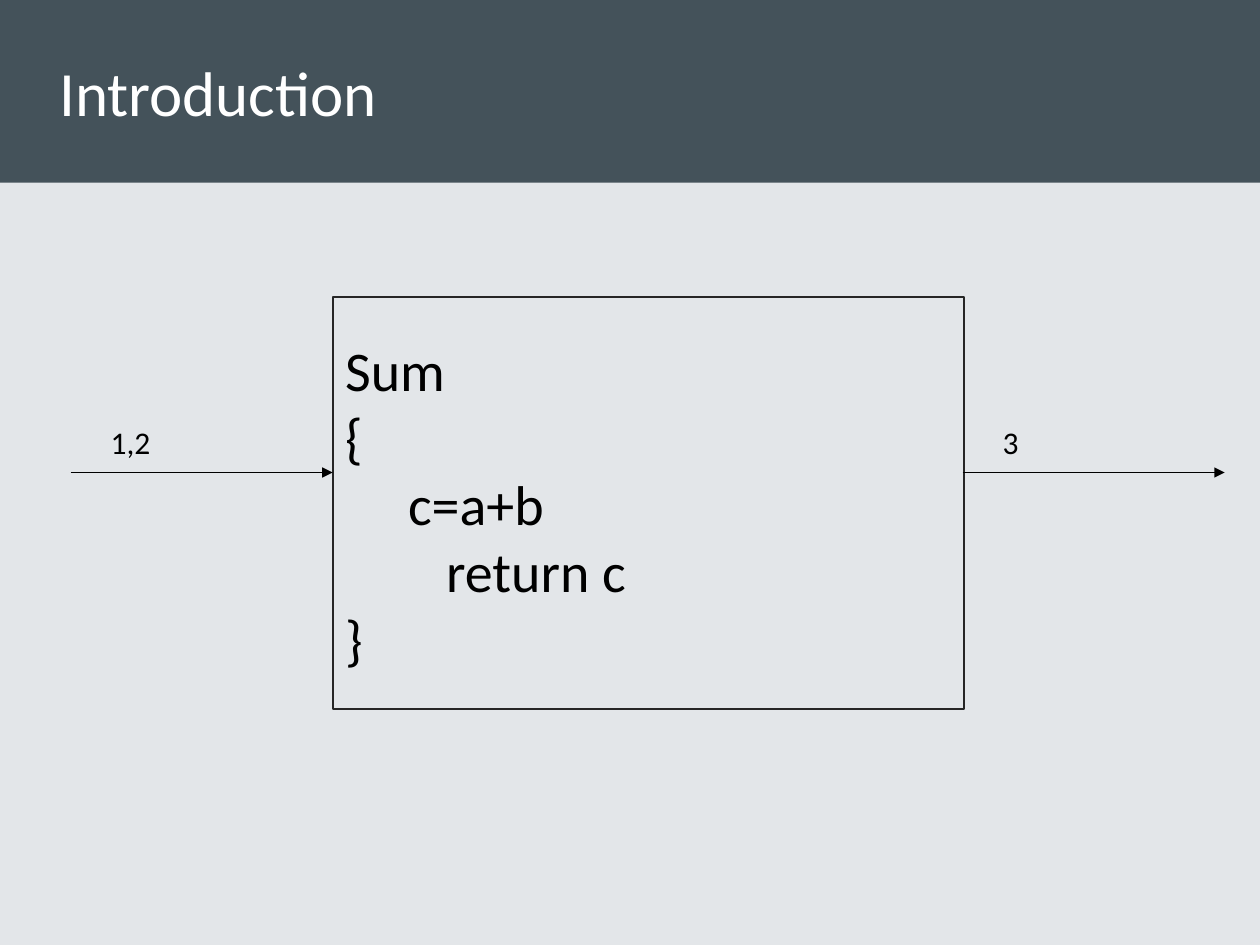
from lxml import etree
from pptx import Presentation
from pptx.dml.color import RGBColor
from pptx.enum.shapes import MSO_CONNECTOR, MSO_SHAPE
from pptx.enum.text import MSO_ANCHOR, MSO_AUTO_SIZE, PP_ALIGN
from pptx.oxml.ns import qn
from pptx.util import Inches, Pt

RECT = MSO_SHAPE.RECTANGLE
LINE = MSO_CONNECTOR.STRAIGHT
MIDDLE, TOP = MSO_ANCHOR.MIDDLE, MSO_ANCHOR.TOP
LEFT = PP_ALIGN.LEFT
GROW, FIXED = MSO_AUTO_SIZE.SHAPE_TO_FIT_TEXT, MSO_AUTO_SIZE.NONE
FONT = "Calibri"
BLACK = "000000"
CODE = "Sum\n{\n\tc=a+b\n\t   return c\n}"


def color(code):
    return RGBColor.from_string(code)


def write(frame, text, size=18, ink=BLACK, anchor=TOP, fit=FIXED, tab=None):
    frame.word_wrap = True
    frame.auto_size = fit
    frame.vertical_anchor = anchor
    frame.text = text
    for para in frame.paragraphs:
        para.alignment = LEFT
        if tab:
            stops = etree.SubElement(para._p.get_or_add_pPr(), qn("a:tabLst"))
            etree.SubElement(stops, qn("a:tab"), pos=str(Inches(tab)), algn="l")
        for run in para.runs:
            run.font.name = FONT
            run.font.size = Pt(size)
            run.font.color.rgb = color(ink)


def add_head(slide, left, top, width, height):
    # Dark band, with the title in front of it
    band = slide.shapes.add_shape(
        RECT, Inches(left), Inches(top), Inches(width), Inches(height))
    band.shadow.inherit = False
    band.fill.solid()
    band.fill.fore_color.rgb = color("44525A")
    band.line.fill.background()
    title = slide.shapes.title
    band._element.addnext(title._element)
    title.left, title.top = Inches(left + 0.37), Inches(top)
    title.width, title.height = Inches(width - 0.83), Inches(height)
    write(title.text_frame, "Introduction", size=36, ink="FFFFFF", anchor=MIDDLE)


def add_code(slide, left, top, width, height):
    box = slide.shapes.add_shape(
        RECT, Inches(left), Inches(top), Inches(width), Inches(height))
    box.shadow.inherit = False
    box.fill.background()
    box.line.color.rgb = color("262626")
    box.line.width = Pt(1)
    write(box.text_frame, CODE, size=32, anchor=MIDDLE, tab=0.5)


def add_flow(slide, text, left, top, width, height):
    # Arrow along the foot of the box, with its label above
    foot = Inches(top + height)
    arrow = slide.shapes.add_connector(
        LINE, Inches(left), foot, Inches(left + width), foot)
    arrow.line.color.rgb = color(BLACK)
    arrow.line.width = Pt(0.5)
    etree.SubElement(arrow.line._get_or_add_ln(), qn("a:tailEnd"), type="triangle")
    etree.SubElement(arrow._element.spPr, qn("a:effectLst"))
    label = slide.shapes.add_textbox(
        Inches(left + 0.22), Inches(top), Inches(1.38), Inches(0.4))
    write(label.text_frame, text, fit=GROW)


def main():
    deck = Presentation()
    deck.slide_width, deck.slide_height = Inches(10), Inches(7.5)
    slide = deck.slides.add_slide(deck.slide_layouts[5])
    slide.background.fill.solid()
    slide.background.fill.fore_color.rgb = color("E3E6E9")

    add_head(slide, 0, 0, 10, 1.45)
    add_code(slide, 2.64, 2.36, 5.01, 3.27)
    # Input and output of the function
    for text, left in (("1,2", 0.56), ("3", 7.64)):
        add_flow(slide, text, left, 3.31, 2.08, 0.44)

    deck.save("out.pptx")


if __name__ == "__main__":
    main()
